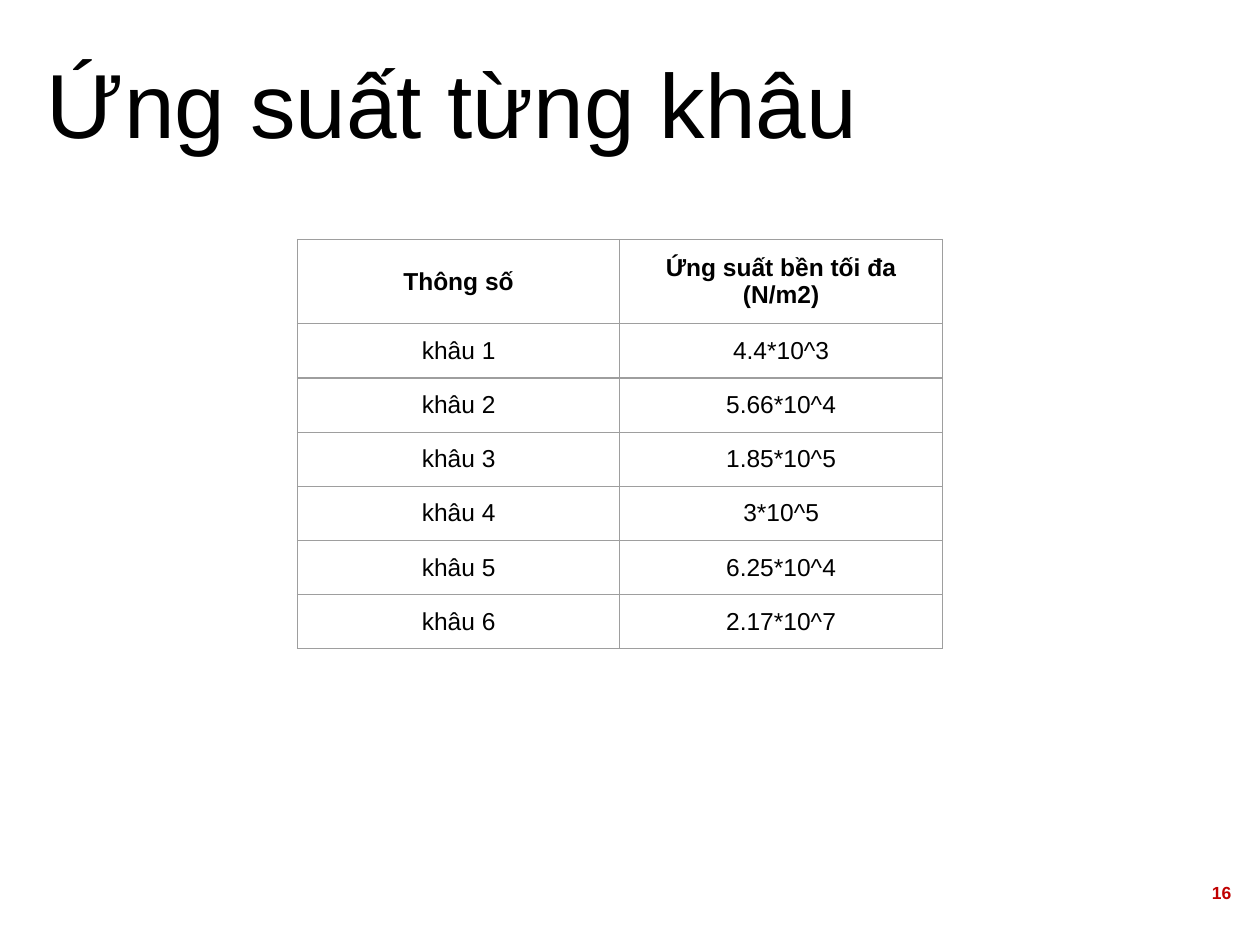
from typing import NamedTuple

from lxml.etree import SubElement
from pptx import Presentation
from pptx.dml.color import RGBColor
from pptx.enum.text import MSO_ANCHOR, MSO_AUTO_SIZE, PP_ALIGN
from pptx.oxml.ns import qn
from pptx.util import Inches, Pt


class TextStyle(NamedTuple):
    size: float
    color: str
    bold: bool
    align: PP_ALIGN


class StressRow(NamedTuple):
    label: str
    stress: str
    height: float = 0.43


TITLE = TextStyle(52, "000000", False, PP_ALIGN.LEFT)
HEADER = TextStyle(14, "000000", True, PP_ALIGN.CENTER)
BODY = TextStyle(14, "000000", False, PP_ALIGN.CENTER)
PAGE_NUMBER = TextStyle(10, "C00000", True, PP_ALIGN.RIGHT)

BORDER_COLOR = "9E9E9E"
BORDER_WIDTH = 0.75
COLUMN_WIDTH = 2.56
MARGINS = dict.fromkeys(
    ("margin_left", "margin_top", "margin_right", "margin_bottom"), Inches(0.1)
)

STRESSES = ("4.4*10^3", "5.66*10^4", "1.85*10^5", "3*10^5", "6.25*10^4", "2.17*10^7")
ROWS = [StressRow("Thông số", "Ứng suất bền tối đa (N/m2)", 0.67)] + [
    StressRow(f"khâu {number}", stress) for number, stress in enumerate(STRESSES, 1)
]


def rgb(color: str) -> RGBColor:
    return RGBColor.from_string(color)


def apply_format(target, values: dict) -> None:
    for name, value in values.items():
        setattr(target, name, value)


def write_text(frame, text: str, style: TextStyle) -> None:
    para = frame.paragraphs[0]
    para.alignment = style.align
    span = para.add_run()
    span.text = text
    apply_format(
        span.font, {"name": "Arial", "size": Pt(style.size), "bold": style.bold}
    )
    span.font.color.rgb = rgb(style.color)


def add_borders(cell) -> None:
    """Draw all four sides; lines must come before the fill in the cell XML."""
    properties = cell._tc.get_or_add_tcPr()
    for side in ("a:lnL", "a:lnR", "a:lnT", "a:lnB"):
        line = SubElement(properties, qn(side), w=str(Pt(BORDER_WIDTH)))
        fill = SubElement(line, qn("a:solidFill"))
        SubElement(fill, qn("a:srgbClr"), val=BORDER_COLOR)


def add_title(page, text: str) -> None:
    box = page.shapes.title
    apply_format(box, {"left": Inches(0.27), "top": Inches(0.21),
                       "width": Inches(9.32), "height": Inches(0.83)})
    frame = box.text_frame
    apply_format(frame, MARGINS | {
        "margin_top": Inches(0.17),
        "vertical_anchor": MSO_ANCHOR.TOP,
        "auto_size": MSO_AUTO_SIZE.NONE,
        "word_wrap": True,
    })
    write_text(frame, text, TITLE)


def add_stress_table(page, rows: list[StressRow]) -> None:
    table = page.shapes.add_table(
        len(rows), 2, Inches(2.36), Inches(1.9),
        Inches(2 * COLUMN_WIDTH), Inches(sum(row.height for row in rows)),
    ).table
    apply_format(table, {"first_row": False, "horz_banding": False})
    for column in table.columns:
        column.width = Inches(COLUMN_WIDTH)
    for index, row in enumerate(rows):
        table.rows[index].height = Inches(row.height)
        for column, text in enumerate((row.label, row.stress)):
            cell = table.cell(index, column)
            apply_format(cell, MARGINS | {"vertical_anchor": MSO_ANCHOR.MIDDLE})
            add_borders(cell)
            cell.fill.background()
            write_text(cell.text_frame, text, BODY if index else HEADER)


def add_page_number(page, number: int) -> None:
    box = page.shapes.add_textbox(Inches(9.27), Inches(6.8), Inches(0.6), Inches(0.57))
    apply_format(box.text_frame, MARGINS | {
        "vertical_anchor": MSO_ANCHOR.MIDDLE,
        "word_wrap": True,
    })
    write_text(box.text_frame, str(number), PAGE_NUMBER)


def main() -> None:
    deck = Presentation()
    apply_format(deck, {"slide_width": Inches(10), "slide_height": Inches(7.5)})
    page = deck.slides.add_slide(deck.slide_layouts.get_by_name("Title Only"))
    add_title(page, "Ứng suất từng khâu")
    add_stress_table(page, ROWS)
    add_page_number(page, 16)
    deck.save("out.pptx")


if __name__ == "__main__":
    main()
